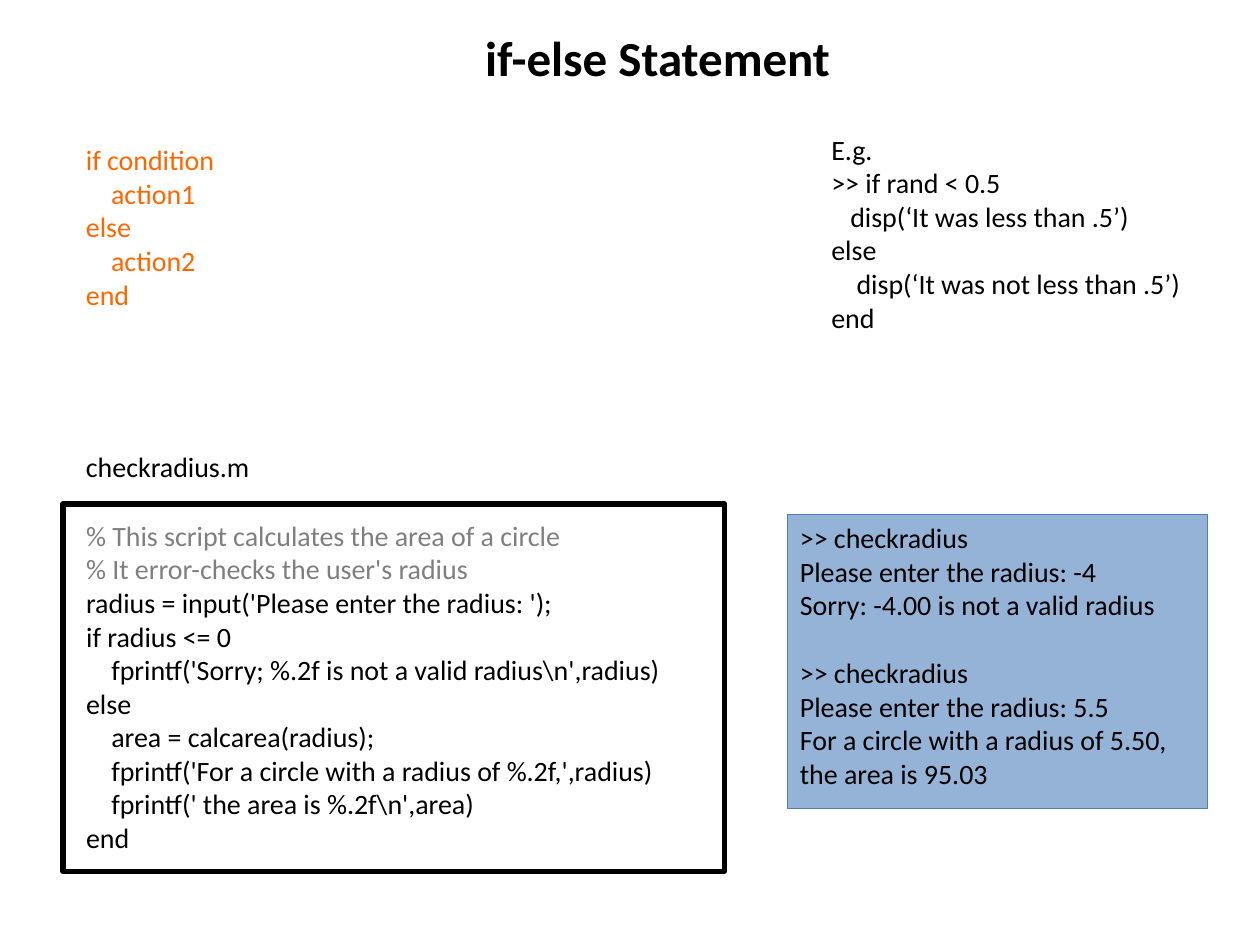
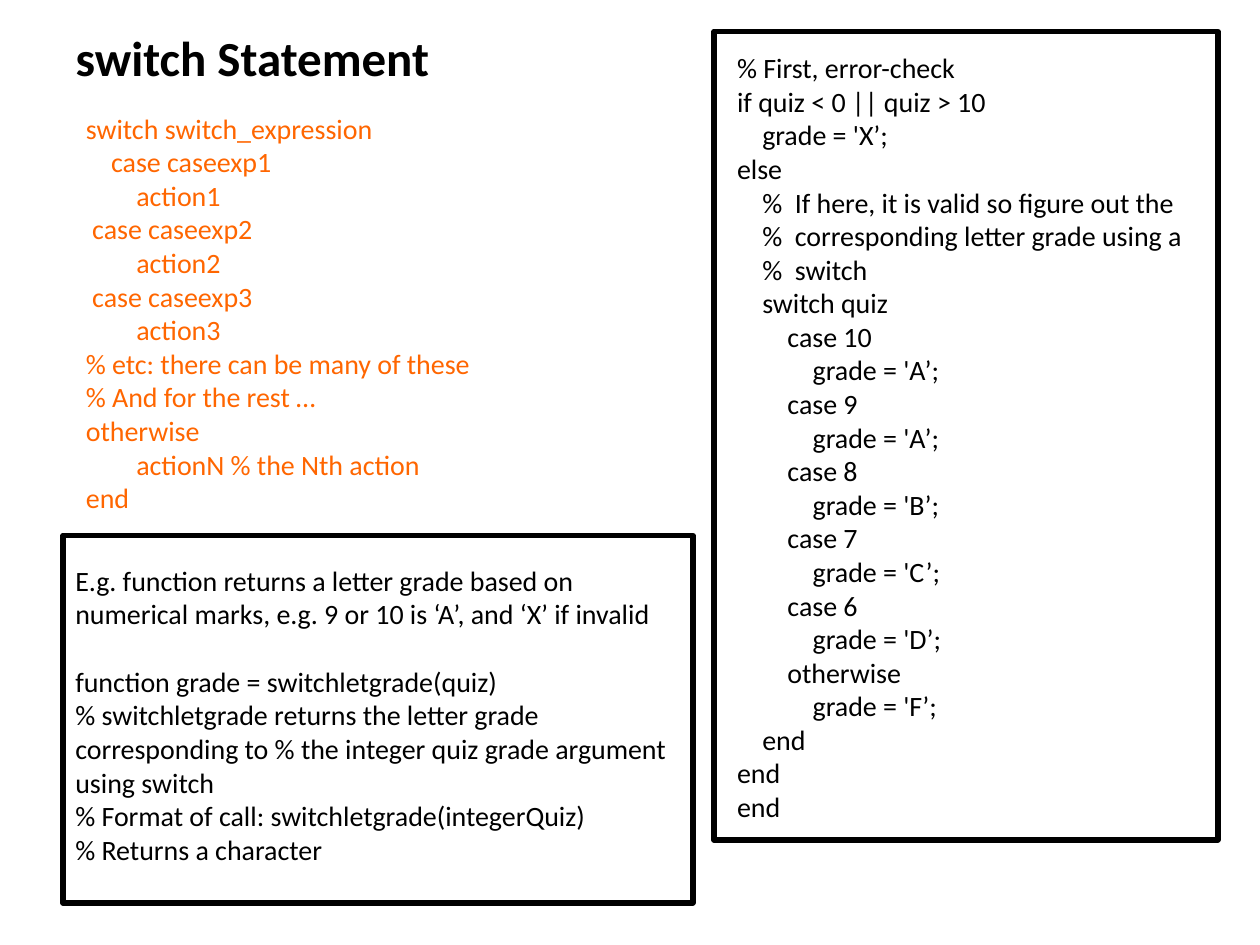
from dataclasses import dataclass
from pptx import Presentation
from pptx.dml.color import RGBColor
from pptx.enum.shapes import MSO_SHAPE
from pptx.enum.text import MSO_ANCHOR, MSO_AUTO_SIZE, PP_ALIGN
from pptx.util import Pt


@dataclass(frozen=True)
class Theme:
    font: str = "Calibri"
    ink: str = "000000"
    syntax: str = "FF6600"
    remark: str = "7F7F7F"
    fill: str = "95B3D7"
    edge: str = "4B7EBC"
    head: float = 28
    body: float = 16
    pitch: float = 19.5   # height of one body line
    space: float = 3.6    # width of one body space
    inset: tuple = (7.2, 3.6)


THEME = Theme()

IF_FORM = """if condition
    action1
else
    action2
end"""

IF_CASE = """E.g.
>> if rand < 0.5
   disp(‘It was less than .5’)
else
    disp(‘It was not less than .5’)
end"""

RADIUS = r"""% This script calculates the area of a circle
% It error-checks the user's radius
radius = input('Please enter the radius: ');
if radius <= 0
    fprintf('Sorry; %.2f is not a valid radius\n',radius)
else
    area = calcarea(radius);
    fprintf('For a circle with a radius of %.2f,',radius)
    fprintf(' the area is %.2f\n',area)
end"""

SESSION = """>> checkradius
Please enter the radius: -4
Sorry: -4.00 is not a valid radius

>> checkradius
Please enter the radius: 5.5
For a circle with a radius of 5.50, the area is 95.03"""

SWITCH_FORM = """switch switch_expression
    case caseexp1
        action1
 case caseexp2
        action2
 case caseexp3
        action3
% etc: there can be many of these
% And for the rest …
otherwise
        actionN % the Nth action
end"""

HEADER = """E.g. function returns a letter grade based on numerical marks, e.g. 9 or 10 is ‘A’, and ‘X’ if invalid

function grade = switchletgrade(quiz)
% switchletgrade returns the letter grade corresponding to % the integer quiz grade argument using switch
% Format of call: switchletgrade(integerQuiz)
% Returns a character"""

GRADES = """% First, error-check
if quiz < 0 || quiz > 10
    grade = 'X’;
else
    %  If here, it is valid so figure out the
    %  corresponding letter grade using a
    %  switch
    switch quiz
        case 10
            grade = 'A’;
        case 9
            grade = 'A’;
        case 8
            grade = 'B’;
        case 7
            grade = 'C’;
        case 6
            grade = 'D’;
        otherwise
            grade = 'F’;
    end
end
end"""


def write(frame, text, size=THEME.body, color=THEME.ink, remark=None,
          bold=False, wrap=True, inset=THEME.inset):
    """Turn blank lines into spacing and leading spaces into indents."""
    frame.word_wrap = wrap
    frame.auto_size = MSO_AUTO_SIZE.NONE
    frame.vertical_anchor = MSO_ANCHOR.TOP
    frame.margin_left, frame.margin_top = map(Pt, inset)
    frame.margin_right, frame.margin_bottom = map(Pt, THEME.inset)
    para, gap = frame.paragraphs[0], 0
    for line in text.split("\n"):
        if not line:
            gap += THEME.pitch
            continue
        if para.runs:
            para = frame.add_paragraph()
        code = line.lstrip()
        depth = len(line) - len(code)
        para.alignment = PP_ALIGN.LEFT
        para.space_before = Pt(gap)
        para._p.get_or_add_pPr().set("marL", str(Pt(depth * THEME.space)))
        run = para.add_run()
        run.text = code
        font = run.font
        font.name, font.size, font.bold = THEME.font, Pt(size), bold
        shade = remark if remark and code.startswith("%") else color
        font.color.rgb = RGBColor.from_string(shade)
        gap = 0


def start(deck, title, box):
    slide = deck.slides.add_slide(deck.slide_layouts[5])
    head = slide.shapes.title
    head.left, head.top, head.width, head.height = map(Pt, box)
    write(head.text_frame, title, size=THEME.head, bold=True, wrap=False)
    return slide


def label(slide, box, text, **style):
    write(slide.shapes.add_textbox(*map(Pt, box)).text_frame, text, **style)


def panel(slide, box, text, fill=None, edge=THEME.ink, weight=3, **style):
    shape = slide.shapes.add_shape(MSO_SHAPE.RECTANGLE, *map(Pt, box))
    shape.shadow.inherit = False
    if fill:
        shape.fill.solid()
        shape.fill.fore_color.rgb = RGBColor.from_string(fill)
    else:
        shape.fill.background()
    shape.line.color.rgb = RGBColor.from_string(edge)
    shape.line.width = Pt(weight)
    write(shape.text_frame, text, **style)


def if_slide(deck):
    slide = start(deck, "if-else Statement", (270, 12, 216, 41))
    label(slide, (42, 78, 270, 106), IF_FORM, color=THEME.syntax)
    label(slide, (468, 72, 222, 124), IF_CASE)
    label(slide, (42, 253.5, 270, 27), "checkradius.m")
    panel(slide, (36, 288, 378, 210), RADIUS,
          remark=THEME.remark, inset=(13.2, 8.2))
    panel(slide, (450, 294, 240, 168), SESSION,
          fill=THEME.fill, edge=THEME.edge, weight=0.75)


def switch_slide(deck):
    slide = start(deck, "switch Statement", (36, 12, 220, 41))
    label(slide, (42, 60, 270, 240), SWITCH_FORM, color=THEME.syntax)
    panel(slide, (36, 306, 360, 210), HEADER, inset=(7.2, 15.8))
    panel(slide, (408, 18, 288, 462), GRADES, inset=(13.2, 11))


def main():
    deck = Presentation()
    deck.slide_width, deck.slide_height = Pt(720), Pt(540)
    if_slide(deck)
    switch_slide(deck)
    deck.save("out.pptx")


if __name__ == "__main__":
    main()
